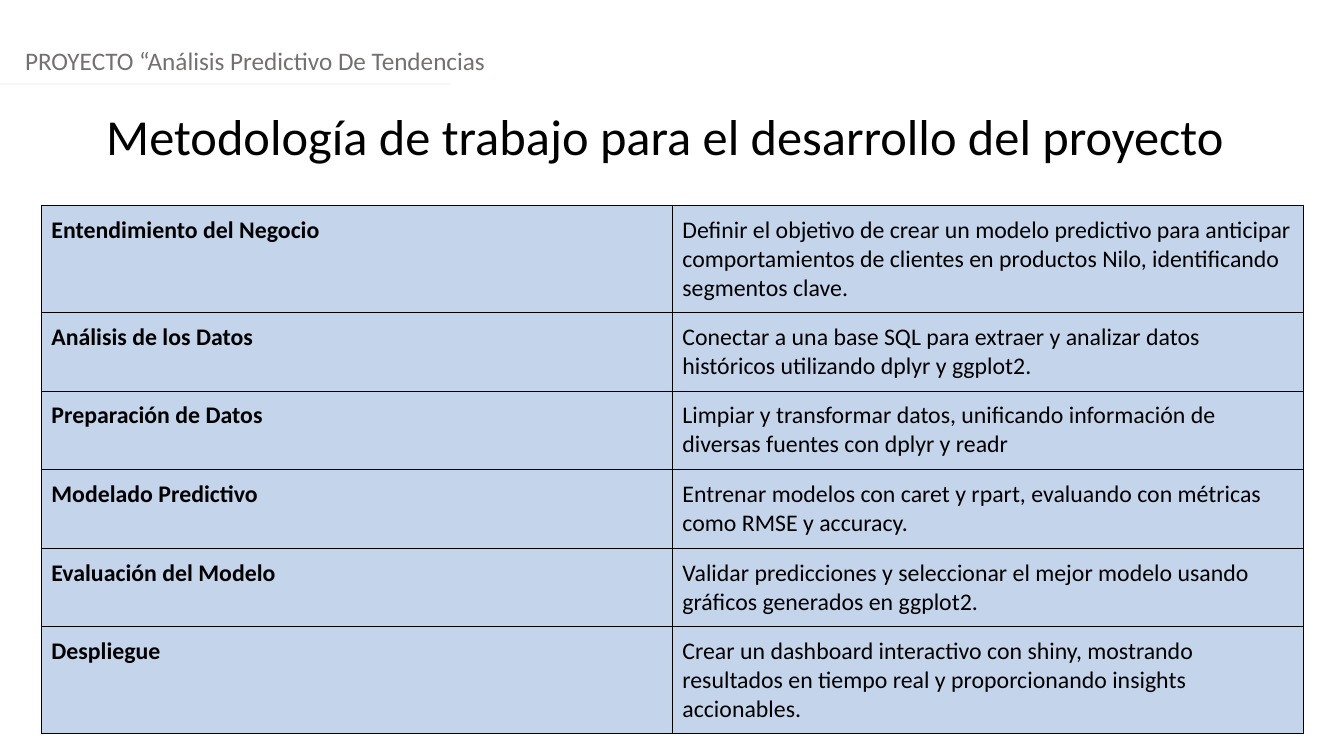
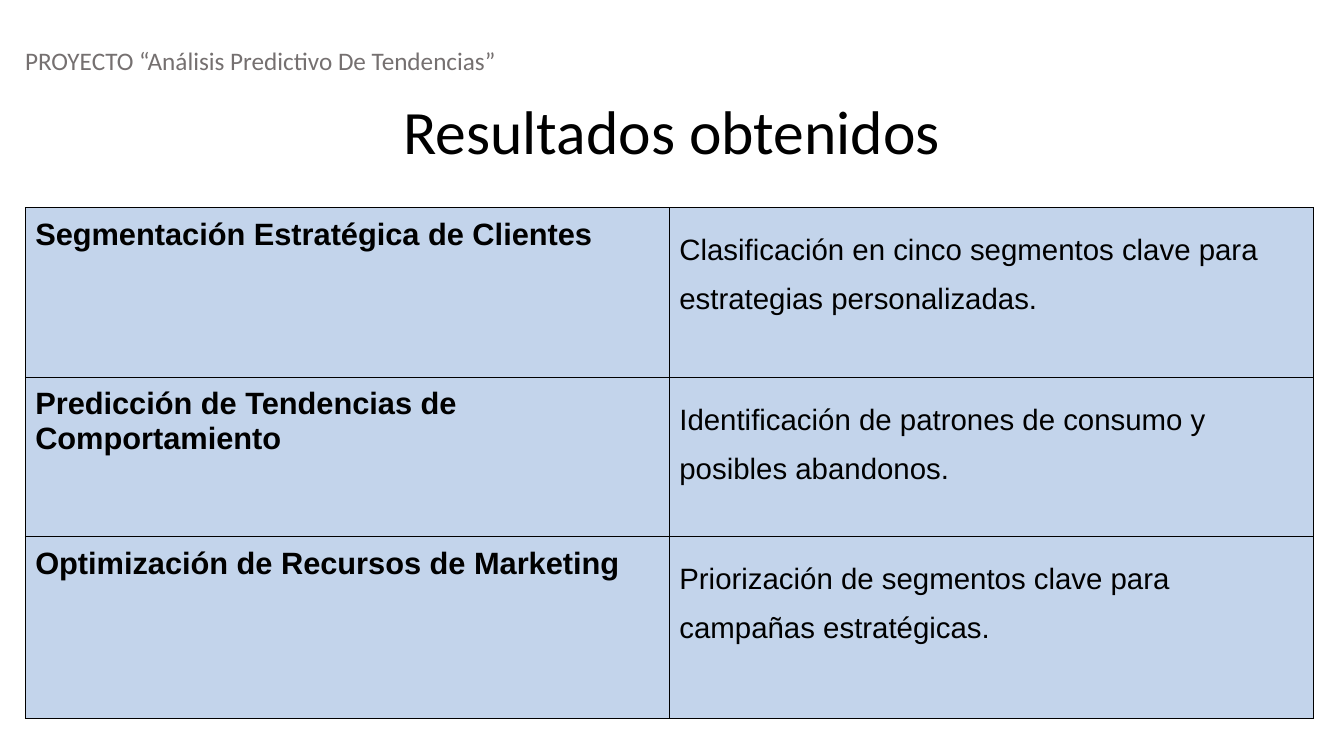
from dataclasses import dataclass

import pptx
import pptx.dml.color
import pptx.enum.shapes
import pptx.enum.text
import pptx.oxml
import pptx.oxml.ns
import pptx.util
from lxml import etree

COLUMNS = 40
ROWS = 22.5
CELL = 13.33 / COLUMNS
TITLE_ONLY = 5


@dataclass(frozen=True)
class Theme:
    ink: str = "000000"
    header: str = "757070"
    rule: str = "F5F7FC"
    table_fill: str = "C3D4EB"
    body_font: str = "Calibri"
    results_font: str = "Arial"
    header_size: float = 18
    method_title_size: float = 36
    results_title_size: float = 44
    method_size: float = 17
    results_label_size: float = 22
    results_detail_size: float = 21
    rule_width: float = 1.25
    border_width: float = 0.75
    cell_margin: float = 0.1


THEME = Theme()


@dataclass(frozen=True)
class Area:
    column: float
    row: float
    columns: float
    rows: float


@dataclass(frozen=True)
class TextStyle:
    size: float
    font: str = THEME.body_font
    color: str = THEME.ink
    bold: bool = False
    align: pptx.enum.text.PP_ALIGN = pptx.enum.text.PP_ALIGN.LEFT
    line_spacing: float = 1.0


@dataclass(frozen=True)
class Entry:
    label: str
    detail: str
    rows: float


@dataclass(frozen=True)
class Section:
    header: str
    title: str
    title_area: Area
    title_size: float
    table_column: float
    table_row: float
    column_span: float
    label_style: TextStyle
    detail_style: TextStyle
    entries: tuple[Entry, ...]
    rule_columns: float = 0


HEADER_AREA = Area(0.45, 1.2, 40, 1.2)
HEADER_STYLE = TextStyle(THEME.header_size, color=THEME.header)
RULE_ROW = 2.49

SECTIONS = (
    Section(
        header="PROYECTO “Análisis Predictivo De Tendencias",
        title="Metodología de trabajo para el desarrollo del proyecto",
        title_area=Area(-0.2, 2.97, 40, 2.13),
        title_size=THEME.method_title_size,
        table_column=1.23,
        table_row=6.12,
        column_span=18.78,
        label_style=TextStyle(THEME.method_size, bold=True),
        detail_style=TextStyle(THEME.method_size),
        entries=(
            Entry("Entendimiento del Negocio",
                  "Definir el objetivo de crear un modelo predictivo para anticipar "
                  "comportamientos de clientes en productos Nilo, identificando "
                  "segmentos clave.", 3.18),
            Entry("Análisis de los Datos",
                  "Conectar a una base SQL para extraer y analizar datos históricos "
                  "utilizando dplyr y ggplot2.", 2.34),
            Entry("Preparación de Datos",
                  "Limpiar y transformar datos, unificando información de diversas "
                  "fuentes con dplyr y readr", 2.34),
            Entry("Modelado Predictivo",
                  "Entrenar modelos con caret y rpart, evaluando con métricas como "
                  "RMSE y accuracy.", 2.34),
            Entry("Evaluación del Modelo",
                  "Validar predicciones y seleccionar el mejor modelo usando gráficos "
                  "generados en ggplot2.", 2.34),
            Entry("Despliegue",
                  "Crear un dashboard interactivo con shiny, mostrando resultados en "
                  "tiempo real y proporcionando insights accionables.", 3.18),
        ),
        rule_columns=13.41,
    ),
    Section(
        header="PROYECTO “Análisis Predictivo De Tendencias”",
        title="Resultados obtenidos",
        title_area=Area(0, 2.61, 40, 2.52),
        title_size=THEME.results_title_size,
        table_column=0.75,
        table_row=6.18,
        column_span=19.17,
        label_style=TextStyle(THEME.results_label_size, THEME.results_font, bold=True),
        detail_style=TextStyle(THEME.results_detail_size, THEME.results_font,
                               line_spacing=1.5),
        entries=(
            Entry("Segmentación Estratégica de Clientes",
                  "Clasificación en cinco segmentos clave para estrategias "
                  "personalizadas.", 5.04),
            Entry("Predicción de Tendencias de Comportamiento",
                  "Identificación de patrones de consumo y posibles abandonos.", 4.74),
            Entry("Optimización de Recursos de Marketing",
                  "Priorización de segmentos clave para campañas estratégicas.", 5.43),
        ),
    ),
)


def grid(cells: float) -> int:
    return pptx.util.Inches(cells * CELL)


def rgb(color: str) -> pptx.dml.color.RGBColor:
    return pptx.dml.color.RGBColor.from_string(color)


def place(area: Area) -> tuple[int, int, int, int]:
    return grid(area.column), grid(area.row), grid(area.columns), grid(area.rows)


def write(frame, text: str, style: TextStyle) -> None:
    frame.word_wrap = True
    paragraph = frame.paragraphs[0]
    paragraph.alignment = style.align
    paragraph.line_spacing = style.line_spacing
    run = paragraph.add_run()
    run.text = text
    run.font.name = style.font
    run.font.size = pptx.util.Pt(style.size)
    run.font.bold = style.bold
    run.font.color.rgb = rgb(style.color)


def draw_header(slide, text: str) -> None:
    header = slide.shapes.add_textbox(*place(HEADER_AREA))
    write(header.text_frame, text, HEADER_STYLE)


def draw_title(slide, section: Section) -> None:
    title = slide.shapes.title
    title.left, title.top, title.width, title.height = place(section.title_area)
    frame = title.text_frame
    frame.auto_size = pptx.enum.text.MSO_AUTO_SIZE.NONE
    frame.vertical_anchor = pptx.enum.text.MSO_ANCHOR.TOP
    write(frame, section.title,
          TextStyle(section.title_size, align=pptx.enum.text.PP_ALIGN.CENTER))


def draw_rule(slide, columns: float) -> None:
    rule = slide.shapes.add_connector(
        pptx.enum.shapes.MSO_CONNECTOR.STRAIGHT,
        0, grid(RULE_ROW), grid(columns), grid(RULE_ROW))
    rule.line.color.rgb = rgb(THEME.rule)
    rule.line.width = pptx.util.Pt(THEME.rule_width)
    etree.SubElement(rule._element.spPr, pptx.oxml.ns.qn("a:effectLst"))


def outline(cell) -> None:
    properties = cell._tc.get_or_add_tcPr()
    for side in ("L", "R", "T", "B"):
        border = etree.SubElement(properties, pptx.oxml.ns.qn(f"a:ln{side}"),
                                  w=str(pptx.util.Pt(THEME.border_width)))
        fill = etree.SubElement(border, pptx.oxml.ns.qn("a:solidFill"))
        etree.SubElement(fill, pptx.oxml.ns.qn("a:srgbClr"), val=THEME.ink)


def fill_cell(cell, text: str, style: TextStyle) -> None:
    margin = pptx.util.Inches(THEME.cell_margin)
    cell.margin_left = cell.margin_right = margin
    cell.margin_top = cell.margin_bottom = margin
    outline(cell)
    cell.fill.solid()
    cell.fill.fore_color.rgb = rgb(THEME.table_fill)
    write(cell.text_frame, text, style)


def draw_table(slide, section: Section) -> None:
    area = Area(section.table_column, section.table_row, 2 * section.column_span,
                sum(entry.rows for entry in section.entries))
    table = slide.shapes.add_table(len(section.entries), 2, *place(area)).table
    table.first_row = False
    table.horz_banding = False
    for index, entry in enumerate(section.entries):
        table.rows[index].height = grid(entry.rows)
        fill_cell(table.cell(index, 0), entry.label, section.label_style)
        fill_cell(table.cell(index, 1), entry.detail, section.detail_style)


def draw_section(deck, section: Section) -> None:
    slide = deck.slides.add_slide(deck.slide_layouts[TITLE_ONLY])
    draw_title(slide, section)
    draw_header(slide, section.header)
    if section.rule_columns:
        draw_rule(slide, section.rule_columns)
    draw_table(slide, section)


def main() -> None:
    deck = pptx.Presentation()
    deck.slide_width = grid(COLUMNS)
    deck.slide_height = grid(ROWS)
    for section in SECTIONS:
        draw_section(deck, section)
    deck.save("out.pptx")


if __name__ == "__main__":
    main()
